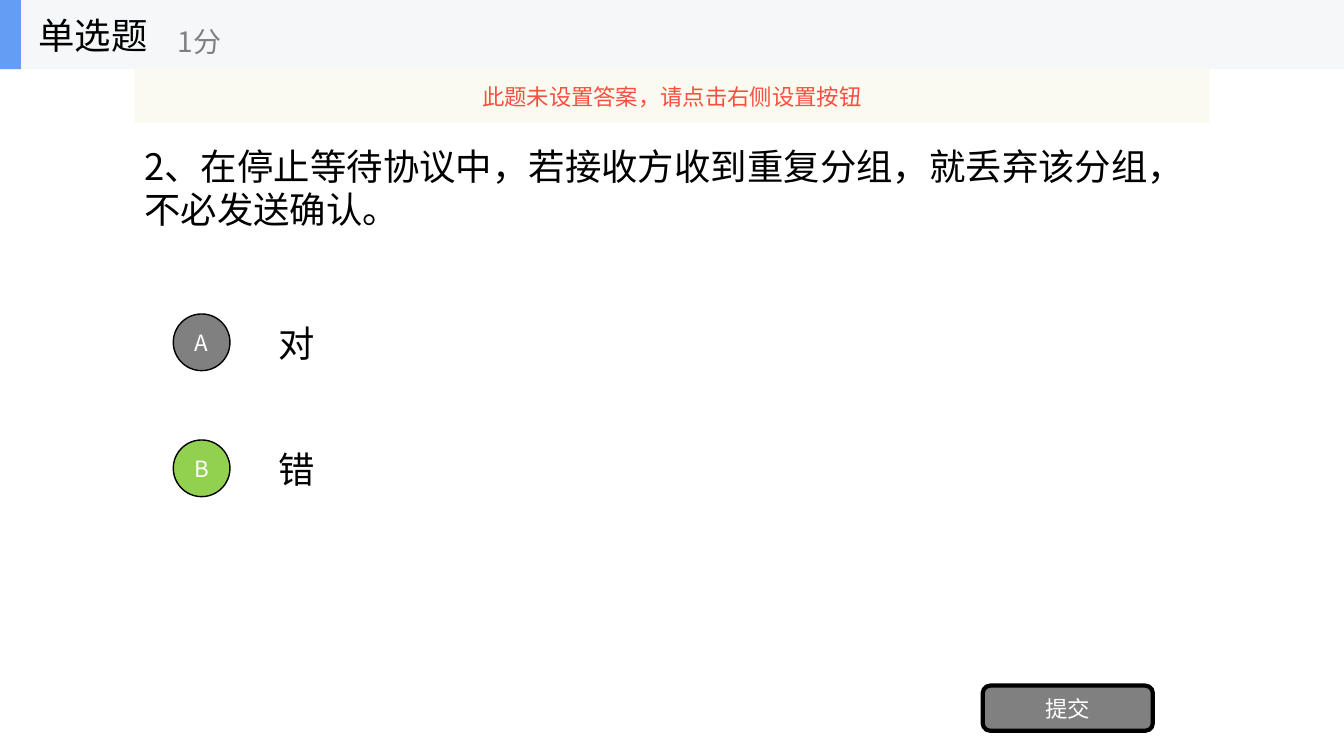
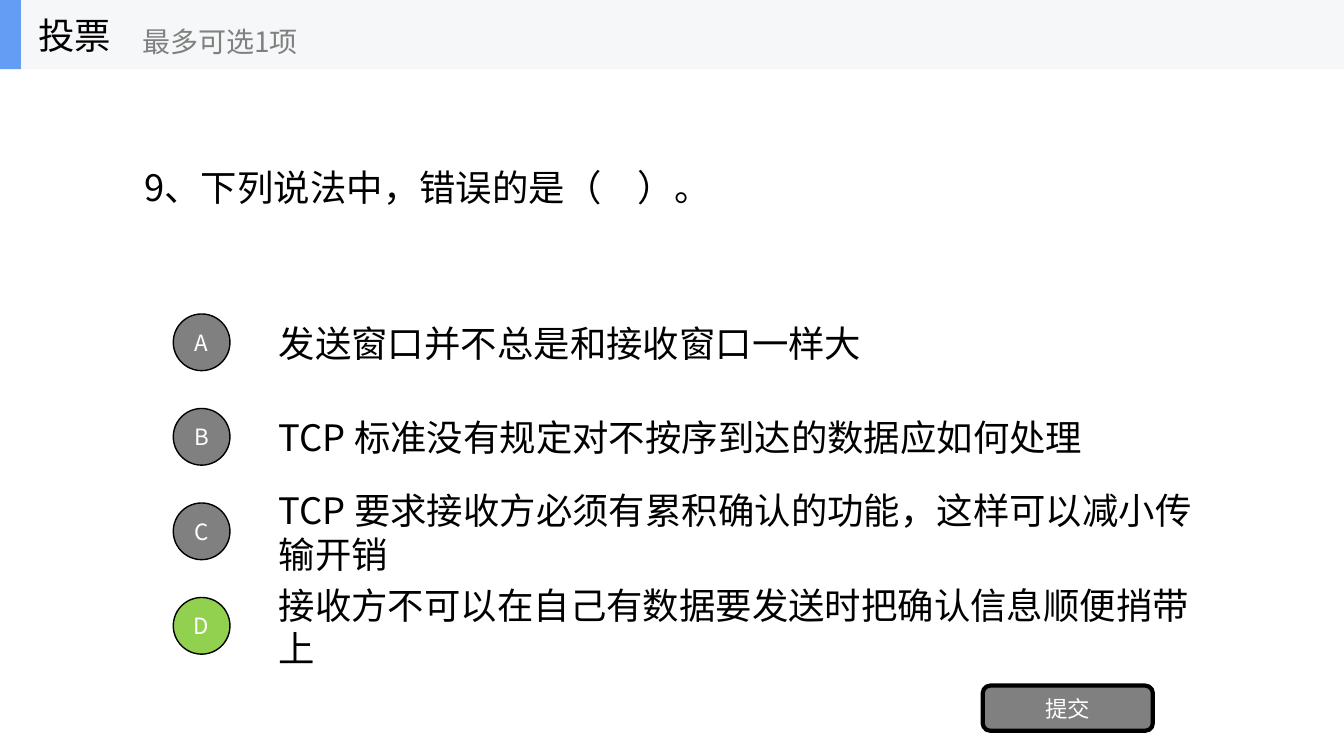
"""Build two quiz slides that share a header, lettered options and a submit button."""
from dataclasses import dataclass
from typing import Any

from lxml.etree import SubElement
from pptx import Presentation
from pptx.dml.color import RGBColor
from pptx.enum.shapes import MSO_SHAPE
from pptx.enum.text import MSO_ANCHOR, PP_ALIGN
from pptx.oxml.ns import qn
from pptx.util import Emu, Pt

FONT = "Noto Sans CJK SC"
BLACK, WHITE, GREY, GREEN = "000000", "FFFFFF", "808080", "92D050"
BAND, BLUE, CREAM, RED = "F6F7F8", "639EF4", "FBFAEF", "F84F41"
WIDE, HIGH = 1280, 720
HEAD = 66
LEFT, SPAN = 128, 1024
TOP, ROW, DOT = 293, 67, 54


@dataclass(frozen=True)
class Box:
    x: int
    y: int
    w: int
    h: int


@dataclass(frozen=True)
class Label:
    text: str
    size: int
    color: str
    align: Any = PP_ALIGN.LEFT


@dataclass(frozen=True)
class Quiz:
    title: str
    note: str
    note_x: int
    ask: str
    items: tuple[str, ...]
    key: int
    pitch: int
    alert: str = ""


QUIZZES = (
    Quiz("单选题", "1分", 160,
         "2、在停止等待协议中，若接收方收到重复分组，就丢弃该分组，不必发送确认。",
         ("对", "错"), 1, 120, "此题未设置答案，请点击右侧设置按钮"),
    Quiz("投票", "最多可选1项", 126, "9、下列说法中，错误的是（　）。",
         ("发送窗口并不总是和接收窗口一样大",
          "TCP 标准没有规定对不按序到达的数据应如何处理",
          "TCP 要求接收方必须有累积确认的功能，这样可以减小传输开销",
          "接收方不可以在自己有数据要发送时把确认信息顺便捎带上"), 3, 90),
)


def px(num: int) -> Emu:
    """Turn whole pixels into EMU."""
    return Emu(num * 9525)


def rgb(code: str) -> RGBColor:
    """Turn a hex string into a colour."""
    return RGBColor.from_string(code)


def place(box: Box) -> tuple[Emu, Emu, Emu, Emu]:
    """Give the left, top, width and height of a box in EMU."""
    return px(box.x), px(box.y), px(box.w), px(box.h)


def write(shape: Any, label: Label) -> None:
    """Write one label in the middle of a shape's height."""
    frame = shape.text_frame
    frame.word_wrap = True
    frame.vertical_anchor = MSO_ANCHOR.MIDDLE
    para = frame.paragraphs[0]
    para.alignment = label.align
    run = para.add_run()
    run.text = label.text
    run.font.size = Pt(label.size)
    run.font.name = FONT
    run.font.color.rgb = rgb(label.color)
    SubElement(run.font._element, qn("a:ea"), typeface=FONT)


def add_text(shapes: Any, box: Box, label: Label) -> None:
    """Add a text box."""
    write(shapes.add_textbox(*place(box)), label)


def add_form(shapes: Any, kind: Any, box: Box, fill: str, line: int = 0) -> Any:
    """Add a filled preset shape, outlined in black if a line width is given."""
    shape = shapes.add_shape(kind, *place(box))
    shape.shadow.inherit = False
    shape.fill.solid()
    shape.fill.fore_color.rgb = rgb(fill)
    if line:
        shape.line.color.rgb = rgb(BLACK)
        shape.line.width = Pt(line)
    else:
        shape.line.fill.background()
    return shape


def add_head(slide: Any, quiz: Quiz) -> None:
    """Add the grouped header band with its title and note."""
    shapes = slide.shapes.add_group_shape().shapes
    add_form(shapes, MSO_SHAPE.RECTANGLE, Box(0, 0, WIDE, HEAD), BAND)
    add_form(shapes, MSO_SHAPE.RECTANGLE, Box(0, 0, 20, HEAD), BLUE)
    add_text(shapes, Box(27, 0, 200, HEAD), Label(quiz.title, 26, BLACK))
    add_text(shapes, Box(quiz.note_x, 12, 240, DOT), Label(quiz.note, 20, GREY))


def add_item(shapes: Any, quiz: Quiz, rank: int) -> None:
    """Add one option with its lettered dot."""
    y = TOP + rank * quiz.pitch
    add_text(shapes, Box(256, y, 896, ROW), Label(quiz.items[rank], 26, BLACK))
    fill = GREEN if rank == quiz.key else GREY
    dot = add_form(shapes, MSO_SHAPE.OVAL,
                   Box(165, y + (ROW - DOT) // 2, DOT, DOT), fill, 1)
    write(dot, Label("ABCD"[rank], 16, WHITE, PP_ALIGN.CENTER))


def add_alert(shapes: Any, text: str) -> None:
    """Add the slightly clear alert strip below the header."""
    strip = add_form(shapes, MSO_SHAPE.RECTANGLE, Box(LEFT, HEAD, SPAN, 51), CREAM)
    tint = strip._element.spPr.find(qn("a:solidFill"))[0]
    SubElement(tint, qn("a:alpha"), val="90000")
    write(strip, Label(text, 16, RED, PP_ALIGN.CENTER))


def add_quiz(deck: Any, quiz: Quiz) -> None:
    """Add one quiz slide."""
    slide = deck.slides.add_slide(deck.slide_layouts[6])
    shapes = slide.shapes
    add_text(shapes, Box(LEFT, HEAD, SPAN, 225), Label(quiz.ask, 26, BLACK))
    for rank in range(len(quiz.items)):
        add_item(shapes, quiz, rank)
    button = add_form(shapes, MSO_SHAPE.ROUNDED_RECTANGLE,
                      Box(936, 653, 162, 43), GREY, 3)
    write(button, Label("提交", 16, WHITE, PP_ALIGN.CENTER))
    add_head(slide, quiz)
    if quiz.alert:
        add_alert(shapes, quiz.alert)


def main() -> None:
    """Build and save the deck."""
    deck = Presentation()
    deck.slide_width, deck.slide_height = px(WIDE), px(HIGH)
    for quiz in QUIZZES:
        add_quiz(deck, quiz)
    deck.save("out.pptx")


if __name__ == "__main__":
    main()
